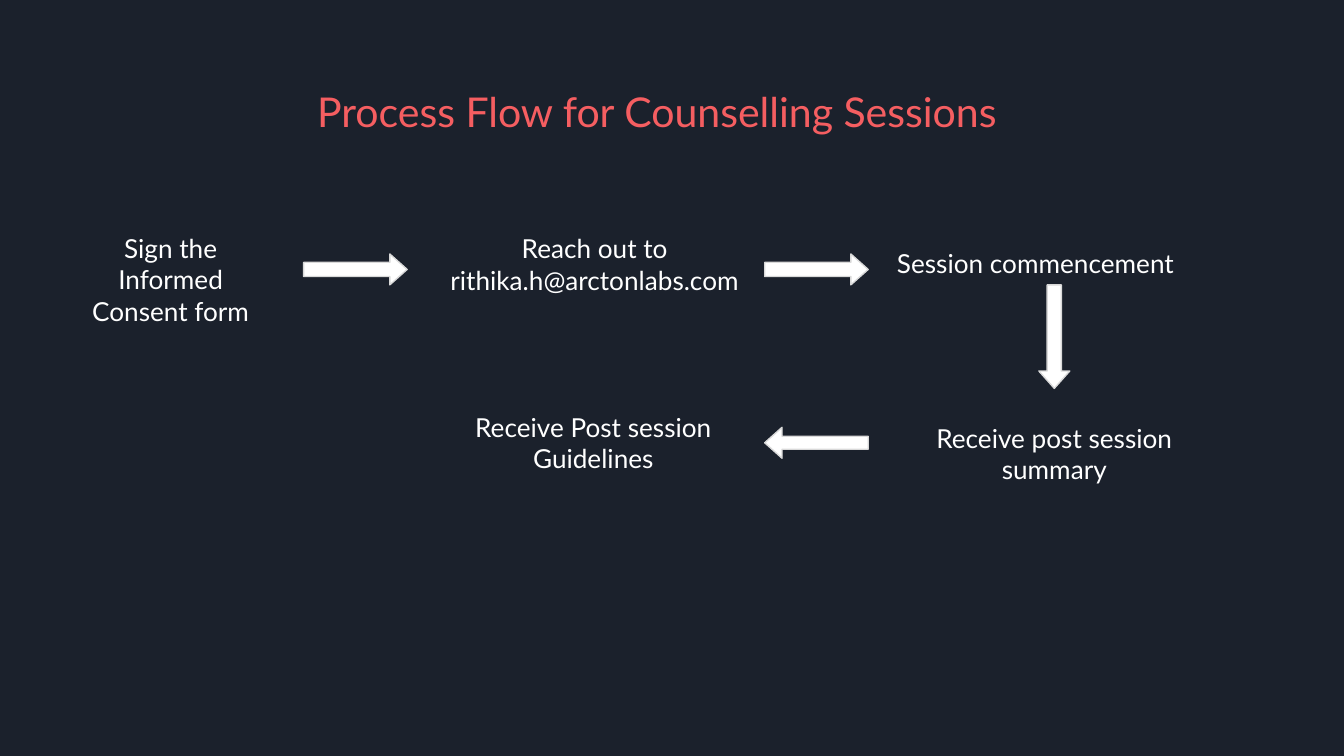
from pptx import Presentation
from pptx.dml.color import RGBColor
from pptx.enum.shapes import MSO_SHAPE as Shape
from pptx.enum.text import MSO_ANCHOR as Anchor, MSO_AUTO_SIZE as AutoSize, PP_ALIGN as Align
from pptx.util import Inches, Pt

COLORS = {"background": "1B212C", "title": "F55E61", "text": "FFFFFF",
          "arrow": "FFFFFF", "outline": "D9D9D9"}
FONT = "Lato"
PAGE_WIDTH = 10
PAGE_HEIGHT = PAGE_WIDTH * 9 / 16

TITLE = "Process Flow for Counselling Sessions"
TITLE_AREA = (2.26, 0.54, 5.47, 0.57)

# Step text and its left, top, width, height
STEPS = [
    ("Sign the Informed Consent form", (0.42, 1.63, 1.7, 0.67)),
    ("Reach out to rithika.h@arctonlabs.com", (3.03, 1.63, 2.79, 0.91)),
    ("Session commencement", (6.31, 1.74, 2.79, 0.67)),
    ("Receive post session summary", (6.79, 3.04, 2.11, 0.67)),
    ("Receive Post session Guidelines", (3.27, 2.96, 2.29, 0.67)),
]

# Arrow shape, left, top, shaft thickness
ARROW_LENGTH, ARROW_WIDTH, HEAD = 0.77, 0.23, 0.56
ARROWS = [
    (Shape.RIGHT_ARROW, 2.26, 1.89, 0.46),
    (Shape.RIGHT_ARROW, 5.69, 1.89, 0.46),
    (Shape.DOWN_ARROW, 7.73, 2.12, 0.46),
    (Shape.LEFT_ARROW, 5.69, 3.18, 0.42),
]


def color(name):
    return RGBColor.from_string(COLORS[name])


def write(box, text, size, color_name, align):
    frame = box.text_frame
    frame_format = {"word_wrap": True, "auto_size": AutoSize.NONE,
                    "vertical_anchor": Anchor.TOP}
    for side in ("left", "top", "right", "bottom"):
        frame_format[f"margin_{side}"] = Inches(0.1)
    for name, value in frame_format.items():
        setattr(frame, name, value)
    para = frame.paragraphs[0]
    para.alignment = align
    span = para.add_run()
    span.text = text
    for name, value in {"name": FONT, "size": Pt(size), "bold": False}.items():
        setattr(span.font, name, value)
    span.font.color.rgb = color(color_name)


deck = Presentation()
deck.slide_width, deck.slide_height = Inches(PAGE_WIDTH), Inches(PAGE_HEIGHT)
page = deck.slides.add_slide(deck.slide_layouts[5])
page.background.fill.solid()
page.background.fill.fore_color.rgb = color("background")

# Title
title = page.shapes.title
for name, value in zip(("left", "top", "width", "height"), TITLE_AREA):
    setattr(title, name, Inches(value))
write(title, TITLE, 22, "title", Align.LEFT)

# Steps
for text, area in STEPS:
    box = page.shapes.add_textbox(*map(Inches, area))
    write(box, text, 14, "text", Align.CENTER)

# Arrows between the steps
for kind, left, top, shaft in ARROWS:
    size = (ARROW_LENGTH, ARROW_WIDTH)
    if kind == Shape.DOWN_ARROW:
        size = size[::-1]
    arrow = page.shapes.add_shape(kind, *map(Inches, (left, top, *size)))
    arrow.adjustments[0] = shaft
    arrow.adjustments[1] = HEAD
    arrow.shadow.inherit = False
    arrow.fill.solid()
    arrow.fill.fore_color.rgb = color("arrow")
    arrow.line.color.rgb = color("outline")
    arrow.line.width = Pt(0.75)

deck.save("out.pptx")
